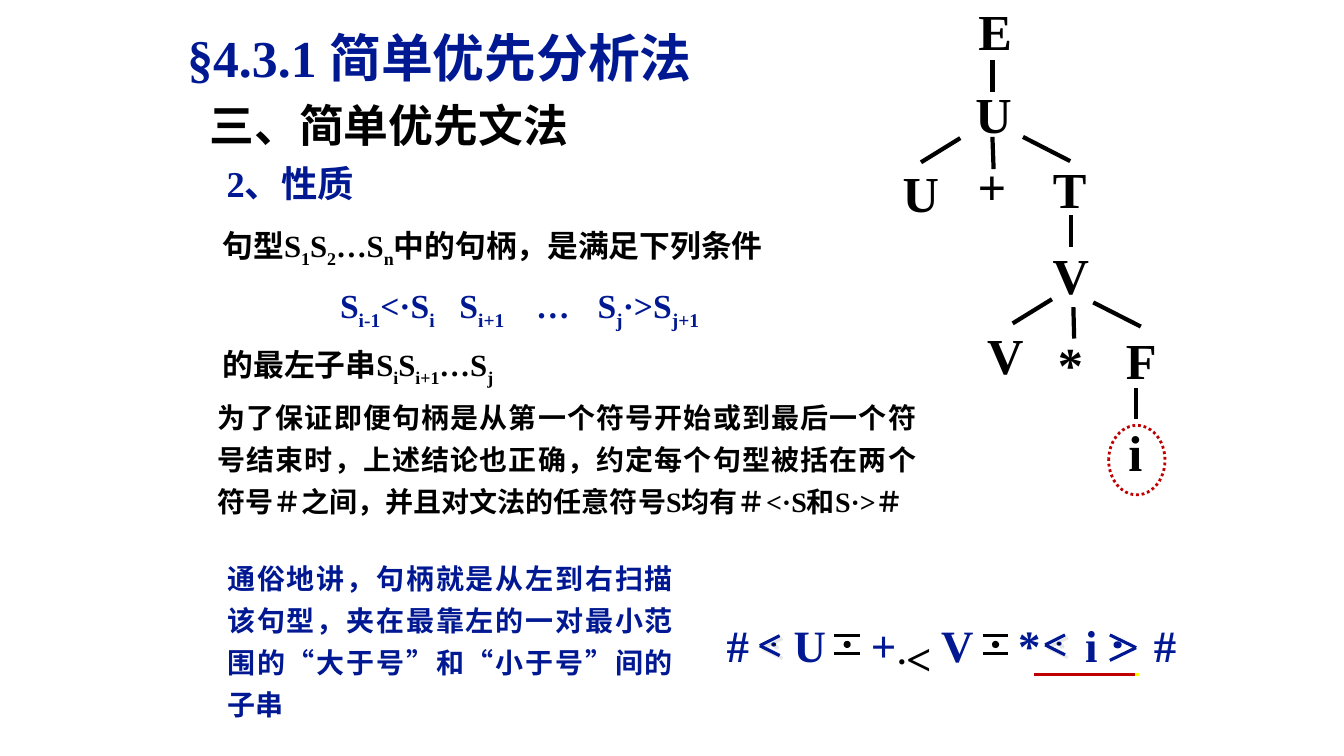
from pptx import Presentation
from pptx.dml.color import RGBColor
from pptx.enum.dml import MSO_LINE
from pptx.enum.shapes import MSO_CONNECTOR, MSO_SHAPE
from pptx.enum.text import MSO_ANCHOR, MSO_AUTO_SIZE, PP_ALIGN
from pptx.oxml.ns import qn
from pptx.util import Cm, Pt
from lxml.etree import SubElement

NAVY, BLACK, RED, YELLOW, GREY = "011893", "000000", "C00000", "FFFF00", "E7E6E6"
SERIF = "Times New Roman"


def color(hex_value):
    return RGBColor.from_string(hex_value)


def add_frame(slide, left, top, width, height, wrap=True, anchor=MSO_ANCHOR.TOP):
    frame = slide.shapes.add_textbox(Cm(left), Cm(top), Cm(width), Cm(height)).text_frame
    frame.word_wrap = wrap
    frame.auto_size = MSO_AUTO_SIZE.NONE
    frame.vertical_anchor = anchor
    return frame


def write(frame, text, size, ink=BLACK, font=SERIF, align=None, spacing=None, tabs=(), baselines=(0, -25)):
    paragraph = frame.paragraphs[0]
    if paragraph.runs:
        paragraph = frame.add_paragraph()
    paragraph.alignment = align
    paragraph.line_spacing = spacing
    if tabs:
        stops = SubElement(paragraph._p.get_or_add_pPr(), qn("a:tabLst"))
        for position in tabs:
            SubElement(stops, qn("a:tab"), pos=str(Cm(position)), algn="l")
    for index, part in enumerate(text.split("|")):
        run = paragraph.add_run()
        run.text = part
        run.font.size = Pt(size)
        run.font.name = font
        run.font.bold = True
        run.font.color.rgb = color(ink)
        baseline = baselines[index % 2]
        if baseline:
            run.font._element.set("baseline", str(baseline * 1000))


def set_effects(shape, shadow):
    properties = shape._element.spPr
    effects = properties.find(qn("a:effectLst"))
    if effects is None:
        effects = SubElement(properties, qn("a:effectLst"))
    if shadow:
        outer = SubElement(effects, qn("a:outerShdw"), dist=str(Pt(2.8)), dir="2700000", algn="ctr", rotWithShape="0")
        SubElement(outer, qn("a:srgbClr"), val=GREY)


def add_stroke(slide, start, end, ink=BLACK, weight=2, shadow=False):
    ends = [Cm(length) for length in (*start, *end)]
    stroke = slide.shapes.add_connector(MSO_CONNECTOR.STRAIGHT, *ends)
    stroke.line.color.rgb = color(ink)
    stroke.line.width = Pt(weight)
    set_effects(stroke, shadow)


def add_oval(slide, left, top, width, height, fill=None, ink=None, weight=1, dash=None, shadow=False):
    oval = slide.shapes.add_shape(MSO_SHAPE.OVAL, Cm(left), Cm(top), Cm(width), Cm(height))
    oval.shadow.inherit = False
    if fill:
        oval.fill.solid()
        oval.fill.fore_color.rgb = color(fill)
    else:
        oval.fill.background()
    if ink:
        oval.line.color.rgb = color(ink)
        oval.line.width = Pt(weight)
        if dash:
            oval.line.dash_style = dash
    else:
        oval.line.fill.background()
    set_effects(oval, shadow)


def add_headings(slide, left, top):
    title = add_frame(slide, left, top, 24.56, 2.18, anchor=MSO_ANCHOR.MIDDLE)
    write(title, "§4.3.1 简单优先分析法", 37, NAVY, spacing=1.2)
    section = add_frame(slide, left + 0.56, top + 1.47, 9.58, 2.29, wrap=False)
    write(section, "三、简单优先文法", 32, spacing=1.5)
    topic = add_frame(slide, left + 0.99, top + 3.38, 23.62, 1.57)
    write(topic, "2、性质", 26, NAVY, align=PP_ALIGN.JUSTIFY, spacing=1.34)


def add_syntax_tree(slide, left, top):
    nodes = [
        ("E", 1.88, 0), ("U", 1.83, 2.11), ("U", 0, 4.09), ("+", 1.8, 3.91), ("T", 3.76, 3.99),
        ("V", 3.78, 6.15), ("V", 2.13, 8.18), ("*", 3.78, 8.41), ("F", 5.56, 8.31), ("i", 5.41, 10.62),
    ]
    branches = [
        (2.51, 1.65, 2.51, 2.44),
        (1.7, 3.61, 0.71, 4.22), (2.51, 3.58, 2.54, 4.39), (3.28, 3.58, 4.47, 4.19),
        (4.5, 5.56, 4.5, 6.35),
        (4.01, 7.67, 3.02, 8.28), (4.55, 7.87, 4.57, 8.66), (5.05, 7.75, 6.25, 8.36),
        (6.12, 9.91, 6.12, 10.69),
    ]
    for symbol, x, y in nodes:
        write(add_frame(slide, left + x, top + y, 1.4, 1.78), symbol, 36, align=PP_ALIGN.CENTER)
    for x1, y1, x2, y2 in branches:
        add_stroke(slide, (left + x1, top + y1), (left + x2, top + y2), weight=3)
    add_oval(slide, left + 5.44, top + 10.85, 1.42, 1.75, ink=RED, weight=2, dash=MSO_LINE.ROUND_DOT)


def add_handle_rule(slide, left, top):
    rule = add_frame(slide, left, top, 15.37, 4.14)
    write(rule, "句型S|1|S|2|…S|n|中的句柄，是满足下列条件", 22, spacing=1.35)
    write(rule, "\tS|i-1|<·S|i|\tS|i+1|\t…\tS|j|·>S|j+1", 24, NAVY, spacing=1.35, tabs=(2.96, 5.97, 7.9, 9.45))
    write(rule, "的最左子串S|i|S|i+1|…S|j", 22, spacing=1.35)


def add_remarks(slide, left, top):
    convention = add_frame(slide, left, top, 18.11, 3.43)
    write(convention, "为了保证即便句柄是从第一个符号开始或到最后一个符号结束时，上述结论也正确，"
          "约定每个句型被括在两个符号＃之间，并且对文法的任意符号S均有＃<·S和S·>＃",
          20, align=PP_ALIGN.JUSTIFY, spacing=1.25)
    summary = add_frame(slide, left + 0.25, top + 4.07, 11.73, 4.52)
    write(summary, "通俗地讲，句柄就是从左到右扫描该句型，夹在最靠左的一对最小范围的"
          "“大于号”和“小于号”间的子串", 20, NAVY, font="Calibri", align=PP_ALIGN.JUSTIFY, spacing=1.25)


def add_equal_sign(slide, left, top):
    for y in (top, top + 0.44):
        add_stroke(slide, (left, y), (left + 0.64, y))
    add_oval(slide, left + 0.23, top + 0.13, 0.18, 0.18, fill=BLACK)


def add_angle_sign(slide, open_x, tip_x, top, half, dot, dot_weight, shadow):
    tip = (tip_x, top + half)
    add_stroke(slide, (open_x, top), tip, NAVY, 2.25, shadow)
    add_stroke(slide, tip, (open_x, top + 2 * half), NAVY, 2.25, shadow)
    add_oval(slide, *dot, fill=BLACK, ink=NAVY, weight=dot_weight, shadow=shadow)


def add_relation_row(slide, left, top):
    symbols = add_frame(slide, left, top, 13.06, 1.6)
    write(symbols, "#\tU\t+\tV\t*\ti\t#", 32, NAVY, tabs=(1.69, 3.64, 5.41, 7.35, 9.04, 10.77))
    less = add_frame(slide, left + 4.32, top + 0.05, 1.75, 1.6)
    write(less, "|.", 40, baselines=(0, 20))
    write_less = less.paragraphs[0].add_run()
    write_less.text = "<"
    write_less.font.size = Pt(32)
    write_less.font.name = SERIF
    write_less.font.bold = True
    write_less.font.color.rgb = color(BLACK)
    for x in (2.97, 6.71):
        add_equal_sign(slide, left + x, top + 0.58)
    for start, ink in ((8.1, YELLOW), (8, RED)):
        add_stroke(slide, (left + start, top + 1.55), (left + start + 2.54, top + 1.55), ink)
    for x, y in ((1.09, 0.58), (8.28, 0.56)):
        dot = (left + x + 0.3, top + y + 0.18, 0.1, 0.08)
        add_angle_sign(slide, left + x + 0.5, left + x, top + y, 0.25, dot, 0.75, True)
    dot = (left + 10.04, top + 0.76, 0.13, 0.1)
    add_angle_sign(slide, left + 9.91, left + 10.57, top + 0.56, 0.32, dot, 2.25, False)


def main():
    deck = Presentation()
    deck.slide_width, deck.slide_height = Cm(33.87), Cm(19.05)
    slide = deck.slides.add_slide(deck.slide_layouts[6])
    add_headings(slide, 4.47, 0.18)
    add_syntax_tree(slide, 22.5, -0.13)
    add_handle_rule(slide, 5.36, 5.23)
    add_remarks(slide, 5.23, 9.75)
    add_relation_row(slide, 18.06, 15.44)
    deck.save("out.pptx")


if __name__ == "__main__":
    main()
